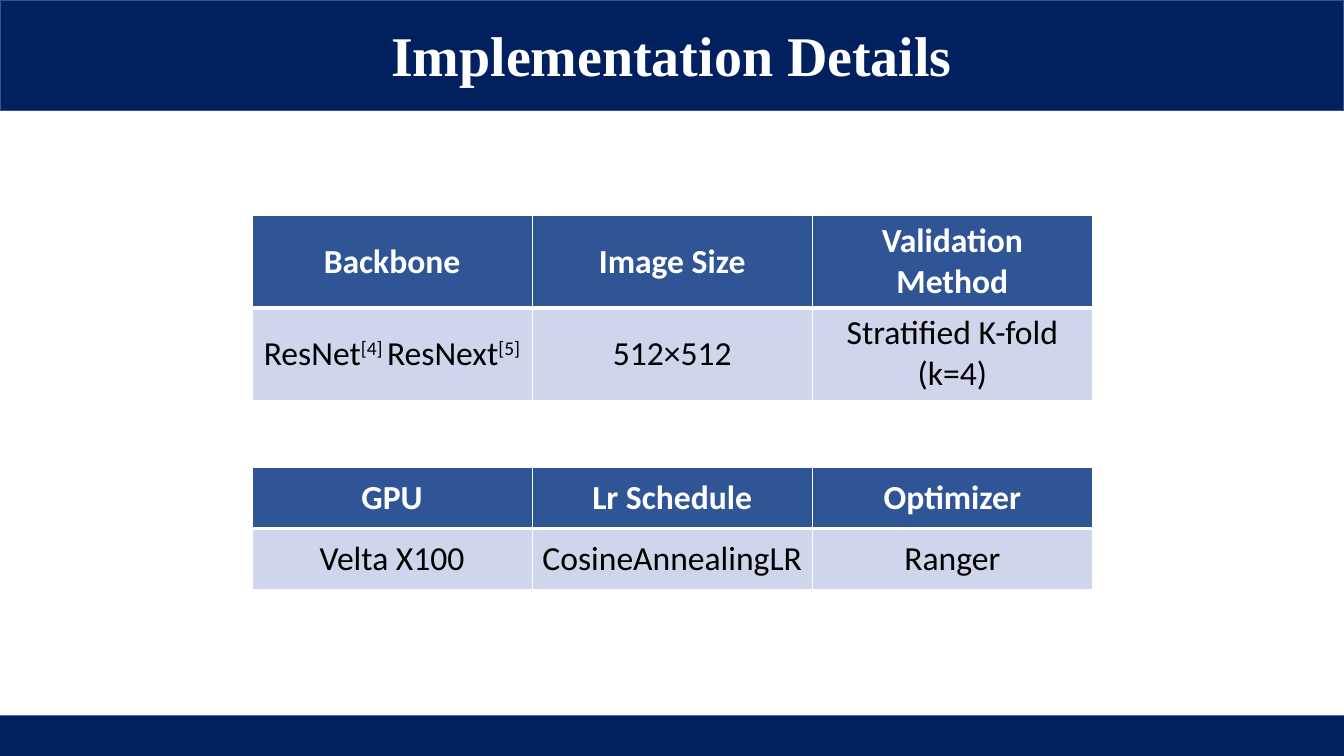
import dataclasses

import pptx
import pptx.dml.color
import pptx.enum.shapes
import pptx.enum.text
import pptx.oxml
import pptx.oxml.ns
import pptx.util

Cm = pptx.util.Cm
Pt = pptx.util.Pt
MID = pptx.enum.text.MSO_ANCHOR.MIDDLE
CENTER = pptx.enum.text.PP_ALIGN.CENTER


@dataclasses.dataclass(frozen=True)
class Theme:
    navy: str = "002060"
    edge: str = "325491"
    head: str = "2F5597"
    body: str = "CFD5EA"
    white: str = "FFFFFF"
    black: str = "000000"
    serif: str = "Times New Roman"
    sans: str = "Calibri"
    title: int = 40
    text: int = 24


THEME = Theme()
WIDE, HIGH = 33.87, 19.05
LEFT, COL = 6.35, 7.06


def rgb(color):
    return pptx.dml.color.RGBColor.from_string(color)


def style(font, name, size, color, bold):
    looks = {"name": name, "size": Pt(size), "bold": bold}
    for key, value in looks.items():
        setattr(font, key, value)
    font.color.rgb = rgb(color)


def add_bar(slide, top, high, line=None):
    """Add a full-width band behind everything else."""
    rect = pptx.enum.shapes.MSO_SHAPE.RECTANGLE
    bar = slide.shapes.add_shape(rect, 0, Cm(top), Cm(WIDE), Cm(high))
    bar.shadow.inherit = False
    bar.fill.solid()
    bar.fill.fore_color.rgb = rgb(THEME.navy)
    if line:
        bar.line.color.rgb = rgb(line)
        bar.line.width = Pt(1)
    else:
        bar.line.fill.background()
    slide.shapes._spTree.insert(2, bar._element)


def set_title(slide, text):
    title = slide.shapes.title
    place = {"left": 5.1, "top": 0.38, "width": 23.65, "height": 1.96}
    for key, value in place.items():
        setattr(title, key, Cm(value))
    frame = title.text_frame
    frame.text = text
    frame.word_wrap = True
    frame.auto_size = pptx.enum.text.MSO_AUTO_SIZE.NONE
    frame.vertical_anchor = MID
    para = frame.paragraphs[0]
    para.alignment = CENTER
    style(para.runs[0].font, THEME.serif, THEME.title, THEME.white, True)


def set_edges(cell, sides):
    """Draw white cell borders; sides maps L, R, T, B to points."""
    props = cell._tc.get_or_add_tcPr()
    space = pptx.oxml.ns.nsdecls("a")
    for side, width in sides.items():
        props.append(pptx.oxml.parse_xml(
            f'<a:ln{side} {space} w="{Pt(width)}"><a:solidFill>'
            f'<a:srgbClr val="{THEME.white}"/></a:solidFill></a:ln{side}>'))


def fill_cell(cell, text, head):
    """Write a cell; parts between ^ marks are raised."""
    set_edges(cell, {"L": 1, "R": 1, "T": 1 if head else 3, "B": 3 if head else 1})
    cell.fill.solid()
    cell.fill.fore_color.rgb = rgb(THEME.head if head else THEME.body)
    cell.vertical_anchor = MID
    para = cell.text_frame.paragraphs[0]
    para.alignment = CENTER
    color = THEME.white if head else THEME.black
    for i, part in enumerate(text.split("^")):
        if not part:
            continue
        run = para.add_run()
        run.text = part
        style(run.font, THEME.sans, THEME.text, color, head)
        if i % 2:
            run.font._element.set("baseline", "30000")


def add_grid(slide, top, high, rows):
    count = len(rows[0])
    frame = slide.shapes.add_table(
        len(rows), count, Cm(LEFT), Cm(top), Cm(COL * count), Cm(high * len(rows)))
    grid = frame.table
    for col in grid.columns:
        col.width = Cm(COL)
    for r, row in enumerate(rows):
        grid.rows[r].height = Cm(high)
        for c, text in enumerate(row):
            fill_cell(grid.cell(r, c), text, r == 0)


def main():
    deck = pptx.Presentation()
    deck.slide_width, deck.slide_height = Cm(WIDE), Cm(HIGH)
    slide = deck.slides.add_slide(deck.slide_layouts[5])
    add_bar(slide, 0, 2.78, THEME.edge)
    add_bar(slide, 18.03, 1.02)
    set_title(slide, "Implementation Details")
    add_grid(slide, 5.44, 2.29, [
        ["Backbone", "Image Size", "Validation Method"],
        ["ResNet^[4] ^ResNext^[5]", "512×512", "Stratified K-fold (k=4)"],
    ])
    add_grid(slide, 11.79, 1.53, [
        ["GPU", "Lr Schedule", "Optimizer"],
        ["Velta X100", "CosineAnnealingLR", "Ranger"],
    ])
    deck.save("out.pptx")


if __name__ == "__main__":
    main()
